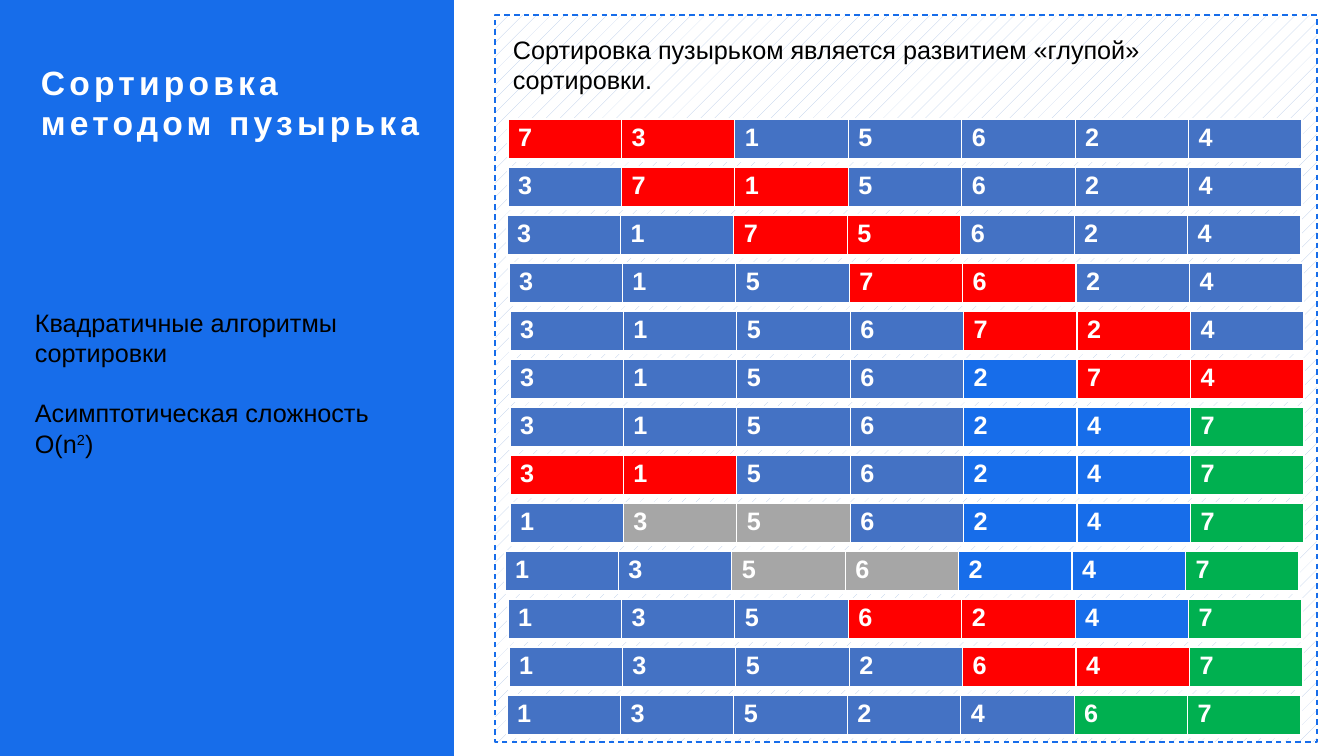
from dataclasses import dataclass

from lxml import etree
from pptx import Presentation
from pptx.dml.color import RGBColor
from pptx.enum.dml import MSO_LINE, MSO_PATTERN
from pptx.enum.shapes import MSO_SHAPE
from pptx.enum.text import MSO_AUTO_SIZE
from pptx.oxml.ns import qn
from pptx.util import Pt

PARALLELOGRAM = MSO_SHAPE.PARALLELOGRAM
RECTANGLE = MSO_SHAPE.RECTANGLE
DOTTED = MSO_PATTERN.PERCENT_5
DASH = MSO_LINE.DASH
GROW = MSO_AUTO_SIZE.SHAPE_TO_FIT_TEXT
EMU_PER_PX = 914400 / 100.8


@dataclass(frozen=True)
class Theme:
    font: str = "Arial"
    title_size: int = 24
    body_size: int = 18
    paragraph_gap: float = 21.6
    white: str = "FFFFFF"
    black: str = "000000"
    accent: str = "176DEA"
    hatch: str = "B4C7E7"
    plain: str = "4472C4"
    compared: str = "FF0000"
    in_order: str = "A6A6A6"
    sorted: str = "00B050"


def px(length):
    return round(length * EMU_PER_PX)


def rgb(value):
    return RGBColor.from_string(value)


def write(paragraph, text, *, font, size, color, bold=False, spacing=0, baseline=0):
    run = paragraph.add_run()
    run.text = text
    run.font.name = font
    run.font.size = Pt(size)
    run.font.bold = bold
    run.font.color.rgb = rgb(color)
    properties = run._r.get_or_add_rPr()
    if spacing:
        properties.set("spc", str(spacing * 100))
    if baseline:
        properties.set("baseline", str(baseline * 1000))


class SlideBuilder:
    def __init__(self, slide, theme):
        self.slide = slide
        self.theme = theme

    def panel(self, preset, *box):
        shape = self.slide.shapes.add_shape(preset, *map(px, box))
        shape.shadow.inherit = False
        return shape

    def solid_panel(self, *box):
        panel = self.panel(PARALLELOGRAM, *box)
        panel.adjustments[0] = 0
        panel.fill.solid()
        panel.fill.fore_color.rgb = rgb(self.theme.accent)
        panel.line.fill.background()

    def hatched_panel(self, *box):
        panel = self.panel(RECTANGLE, *box)
        panel.fill.patterned()
        panel.fill.pattern = DOTTED
        panel.fill.fore_color.rgb = rgb(self.theme.hatch)
        panel.fill.back_color.rgb = rgb(self.theme.white)
        panel.line.color.rgb = rgb(self.theme.accent)
        panel.line.width = Pt(1)
        panel.line.dash_style = DASH

    def text(self, box, paragraphs, inset=True, **style):
        """Each paragraph is a list of (text, baseline) pairs."""
        frame = self.slide.shapes.add_textbox(*map(px, box)).text_frame
        frame.word_wrap = True
        frame.auto_size = GROW
        if not inset:
            frame.margin_left = frame.margin_right = 0
            frame.margin_top = frame.margin_bottom = 0
        for index, pieces in enumerate(paragraphs):
            paragraph = frame.add_paragraph() if index else frame.paragraphs[0]
            if index:
                paragraph.space_before = Pt(self.theme.paragraph_gap)
            for piece, baseline in pieces:
                write(paragraph, piece, font=self.theme.font, baseline=baseline, **style)

    def borders(self, cell):
        properties = cell._tc.get_or_add_tcPr()
        for side, width in (("lnL", 1), ("lnR", 1), ("lnT", 1), ("lnB", 3)):
            line = etree.SubElement(properties, qn(f"a:{side}"), w=str(Pt(width)))
            fill = etree.SubElement(line, qn("a:solidFill"))
            etree.SubElement(fill, qn("a:srgbClr"), val=self.theme.white)

    def array(self, box, digits, fills):
        table = self.slide.shapes.add_table(1, len(digits), *map(px, box)).table
        for column, (digit, fill) in enumerate(zip(digits, fills)):
            table.columns[column].width = px(box[2] / len(digits))
            cell = table.cell(0, column)
            self.borders(cell)
            cell.fill.solid()
            cell.fill.fore_color.rgb = rgb(fill)
            write(cell.text_frame.paragraphs[0], digit, font=self.theme.font,
                  size=self.theme.body_size, color=self.theme.white, bold=True)


# Sorting steps: left edge, digits, state of each digit
# p plain, c compared, a accent, o already in order, s sorted
STEPS = [
    (508, "7315624", "ccppppp"),
    (508, "3715624", "pccpppp"),
    (507, "3175624", "ppccppp"),
    (509, "3157624", "pppccpp"),
    (510, "3156724", "ppppccp"),
    (510, "3156274", "ppppacc"),
    (510, "3156247", "ppppaas"),
    (510, "3156247", "ccppaas"),
    (510, "1356247", "poopaas"),
    (505, "1356247", "ppooaas"),
    (508, "1356247", "pppccas"),
    (509, "1352647", "ppppccs"),
    (507, "1352467", "pppppss"),
]
FIRST_STEP_TOP, STEP_PITCH = 119, 48
ARRAY_WIDTH, ARRAY_HEIGHT = 794, 41


def main():
    presentation = Presentation()
    presentation.slide_width = px(1344)
    presentation.slide_height = px(756)
    theme = Theme()
    slide = presentation.slides.add_slide(presentation.slide_layouts[6])
    builder = SlideBuilder(slide, theme)
    body = {"size": theme.body_size, "color": theme.black}

    # Title panel
    builder.solid_panel(0, 0, 454, 760)
    builder.text((41, 62, 412, 82), [[("Сортировка методом пузырька", 0)]], inset=False,
                 size=theme.title_size, color=theme.white, bold=True, spacing=3)

    # Explanation
    builder.hatched_panel(495, 15, 822, 727)
    builder.text((25, 302, 412, 163), [
        [("Квадратичные алгоритмы сортировки", 0)],
        [("Асимптотическая сложность O(n", 0), ("2", 30), (")", 0)],
    ], **body)
    builder.text((503, 29, 786, 72), [
        [("Сортировка пузырьком является развитием «глупой» сортировки.", 0)],
    ], **body)

    # Array after each step
    state_fills = {"p": theme.plain, "c": theme.compared, "a": theme.accent,
                   "o": theme.in_order, "s": theme.sorted}
    for step, (left, digits, states) in enumerate(STEPS):
        top = FIRST_STEP_TOP + step * STEP_PITCH
        builder.array((left, top, ARRAY_WIDTH, ARRAY_HEIGHT), digits,
                      [state_fills[state] for state in states])

    presentation.save("out.pptx")


if __name__ == "__main__":
    main()
